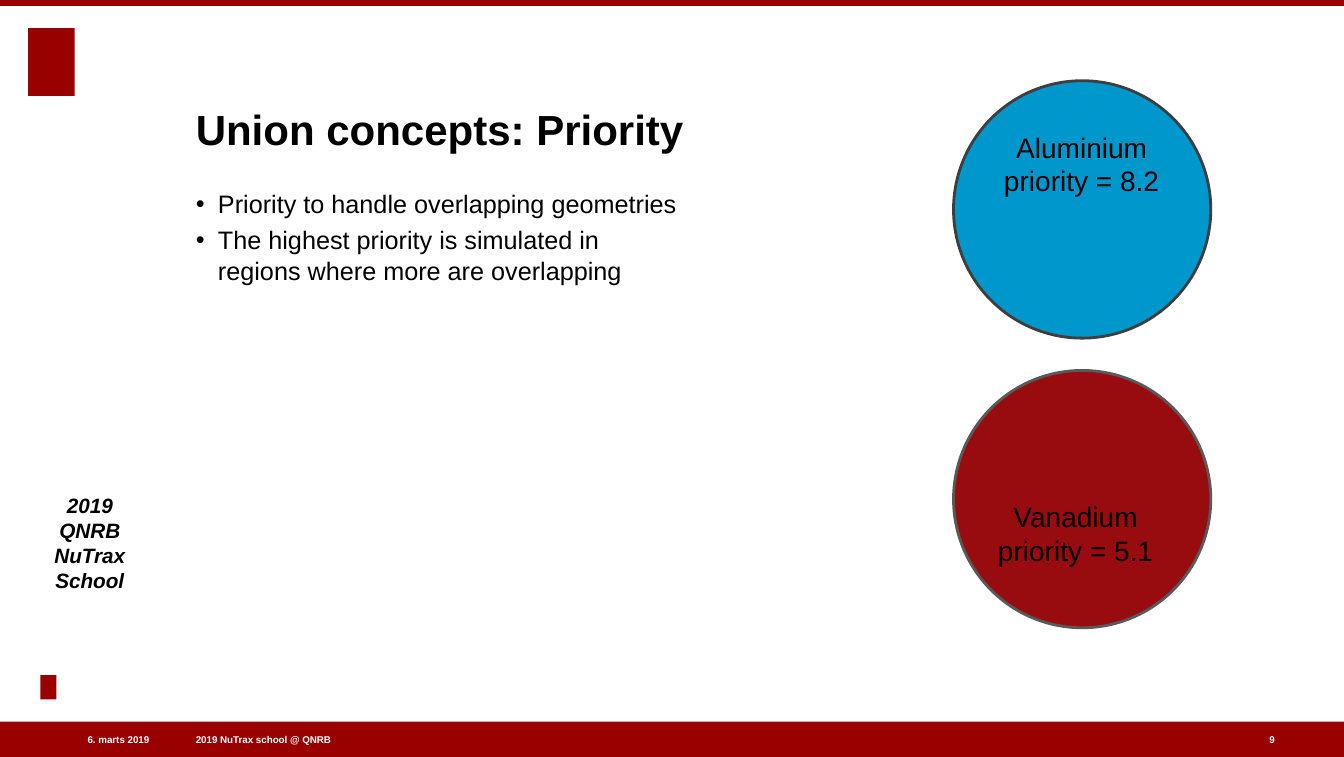
from lxml import etree
from pptx import Presentation
from pptx import util as u
from pptx.dml.color import RGBColor
from pptx.enum import shapes, text
from pptx.oxml.ns import qn

SCALE = 9144
RED, BLACK, WHITE = "990000", "000000", "FFFFFF"
A, ANCHOR = text.PP_ALIGN, text.MSO_ANCHOR


def px(n):
    return u.Emu(n * SCALE)


def color(value):
    return RGBColor.from_string(value)


def write(tf, content, size=18, fill=BLACK, bold=False, italic=False,
          align=A.LEFT, anchor=ANCHOR.TOP, before=0, bullet=None):
    tf.word_wrap = True
    tf.auto_size = text.MSO_AUTO_SIZE.NONE
    tf.vertical_anchor = anchor
    tf.margin_left = tf.margin_right = tf.margin_top = tf.margin_bottom = 0
    for i, line in enumerate(content if isinstance(content, list) else [content]):
        p = tf.add_paragraph() if i else tf.paragraphs[0]
        p.text = line.replace("\n", "\v")
        p.alignment = align
        p.space_before = u.Pt(before)
        for r in p.runs:
            r.font.name = "Arial"
            r.font.size = u.Pt(size)
            r.font.bold = bold
            r.font.italic = italic
            r.font.color.rgb = color(fill)
        if bullet:
            pPr = p._p.get_or_add_pPr()
            pPr.set("marL", str(px(22)))
            pPr.set("indent", str(px(-22)))
            etree.SubElement(pPr, qn("a:buFont")).set("typeface", "Arial")
            etree.SubElement(pPr, qn("a:buChar")).set("char", bullet)


class Deck:
    def __init__(self, width, height):
        self.prs = Presentation()
        self.prs.slide_width, self.prs.slide_height = px(width), px(height)
        self.s = self.prs.slides.add_slide(self.prs.slide_layouts[5])

    def title(self, box, content, **style):
        sp = self.s.shapes.title
        sp.left, sp.top, sp.width, sp.height = map(px, box)
        write(sp.text_frame, content, **style)

    def text(self, box, content, **style):
        sp = self.s.shapes.add_textbox(*map(px, box))
        write(sp.text_frame, content, **style)

    def shape(self, kind, box, fill, line=None):
        sp = self.s.shapes.add_shape(kind, *map(px, box))
        sp.shadow.inherit = False
        sp.fill.solid()
        sp.fill.fore_color.rgb = color(fill)
        if line:
            sp.line.color.rgb = color(line)
            sp.line.width = u.Pt(2)
        else:
            sp.line.fill.background()


def main():
    d = Deck(1332, 750)
    rect, oval = shapes.MSO_SHAPE.RECTANGLE, shapes.MSO_SHAPE.OVAL

    emblems = [(28, 28, 46, 67), (40, 669, 16, 24)]
    bars = [(0, 0, 1332, 6), (0, 715, 1332, 35)]
    for box in emblems + bars:
        d.shape(rect, box, RED)

    footer = [
        (27, 121, "6. marts 2019", A.RIGHT),
        (194, 372, "2019 NuTrax school @ QNRB", A.LEFT),
        (1258, 14, "9", A.LEFT),
    ]
    for left, width, content, align in footer:
        d.text((left, 726, width, 14), content, size=7, fill=WHITE, bold=True,
               align=align, anchor=ANCHOR.MIDDLE)

    d.text((34, 508, 110, 79), "2019 QNRB\nNuTrax School", size=14.8,
           bold=True, italic=True, align=A.CENTER, anchor=ANCHOR.BOTTOM)
    d.title((194, 47, 1018, 106), "Union concepts: Priority", size=30,
            bold=True, anchor=ANCHOR.BOTTOM)
    d.text((194, 187, 482, 497), [
        "Priority to handle overlapping geometries",
        "The highest priority is simulated in regions where more are overlapping",
    ], before=4, bullet="•")

    materials = [
        (80, "0097CD", "3E3E3E", (976, 129), "Aluminium\npriority = 8.2"),
        (367, "980B0F", "595959", (970, 495), "Vanadium\npriority = 5.1"),
    ]
    for top, fill, line, label_at, label in materials:
        d.shape(oval, (945, top, 255, 255), fill, line)
        d.text((*label_at, 192, 80), label, size=20, align=A.CENTER)

    d.prs.save("out.pptx")


if __name__ == "__main__":
    main()
